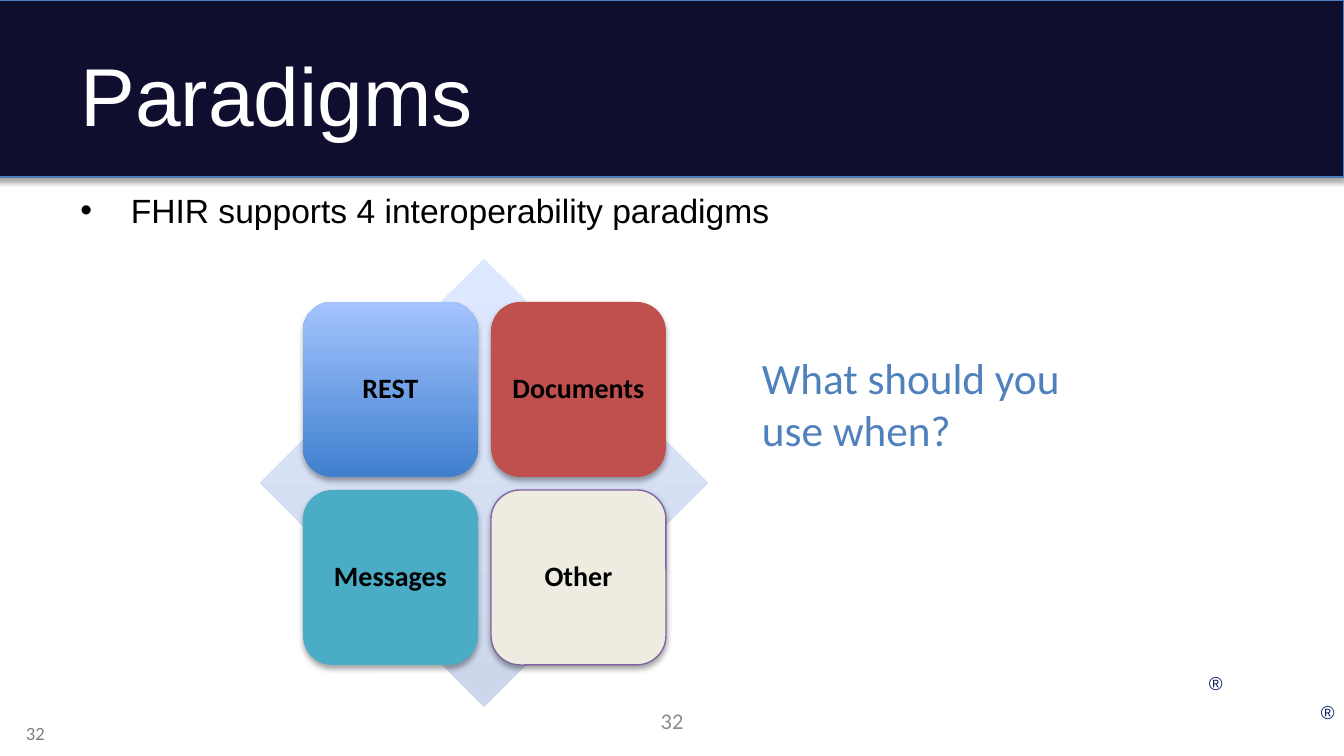
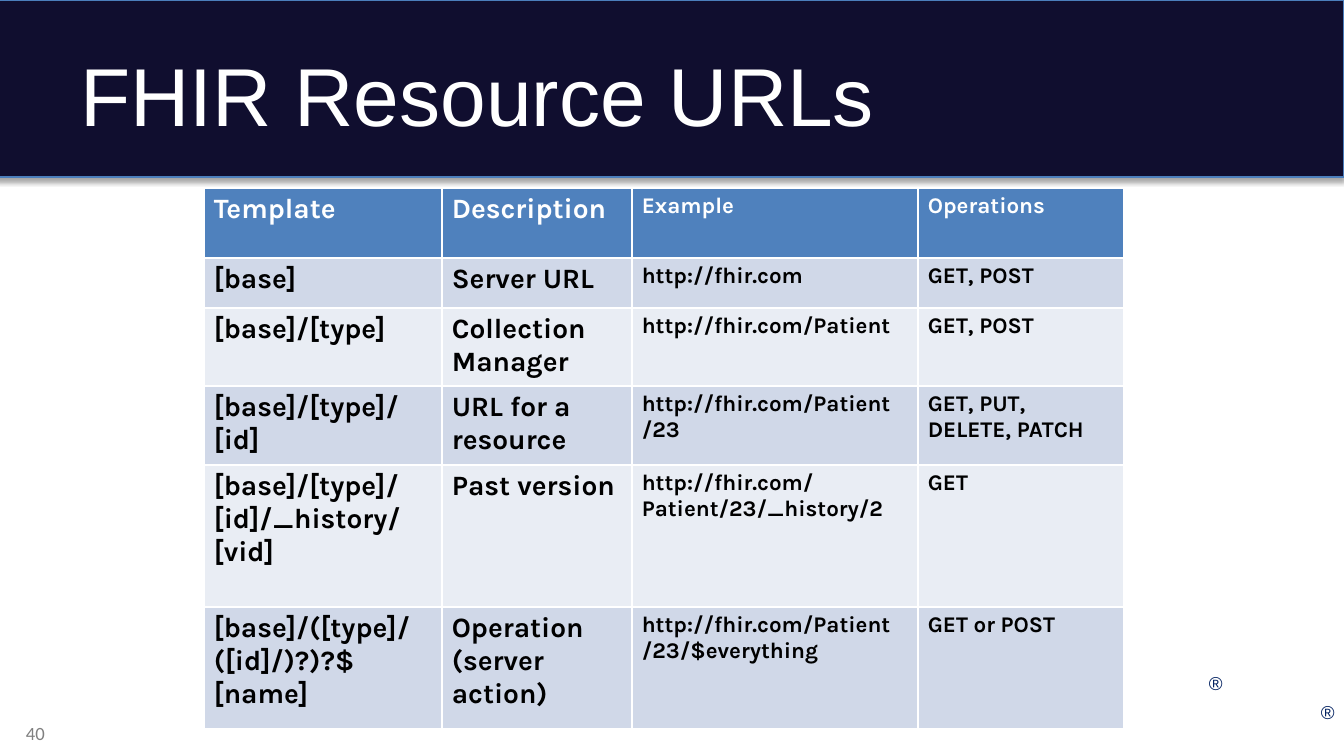
from dataclasses import dataclass

from lxml.etree import SubElement
from pptx import Presentation
from pptx.dml.color import RGBColor
from pptx.enum.shapes import MSO_SHAPE as Preset
from pptx.enum.text import MSO_ANCHOR as Anchor, PP_ALIGN as Align
from pptx.oxml.ns import qn
from pptx.util import Emu, Pt

EMU_PER_PX = 914400 / 134.4


@dataclass(frozen=True)
class Theme:
    band: str = "100E2F"
    band_line: str = "4B7EBC"
    white: str = "FFFFFF"
    black: str = "000000"
    mark: str = "002060"
    number: str = "808080"
    center_number: str = "8C8C8C"
    accent: str = "4F81BD"
    diamond: tuple = ("CDD7EB", "DEE9FF")
    rest: tuple = ("3F7FCE", "A4C4FF")
    documents: str = "C0504D"
    messages: str = "4BACC6"
    other: str = "EEECE1"
    other_line: str = "8064A2"
    row_bands: tuple = ("E9EDF4", "D0D8E8")
    heading_font: str = "Arial"
    text_font: str = "Calibri"
    table_font: str = "Karla"
    title_size: float = 44
    question_size: float = 23.2
    body_size: float = 18
    label_size: float = 15
    detail_size: float = 12
    small_size: float = 10


THEME = Theme()

PARADIGMS = [
    ("REST", THEME.rest, None),
    ("Documents", THEME.documents, None),
    ("Messages", THEME.messages, None),
    ("Other", THEME.other, THEME.other_line),
]

URL_COLUMNS = [238, 190, 286, 206]
URL_HEIGHTS = [70, 50, 78, 79, 142, 122]
URL_ROWS = [
    ("Template", "Description", "Example", "Operations"),
    ("[base]", "Server URL", "http://fhir.com", "GET, POST"),
    ("[base]/[type]", "Collection Manager", "http://fhir.com/Patient", "GET, POST"),
    ("[base]/[type]/[id]", "URL for a resource", "http://fhir.com/Patient\n/23",
     "GET, PUT, DELETE, PATCH"),
    ("[base]/[type]/[id]/_history/[vid]", "Past version",
     "http://fhir.com/Patient/23/_history/2", "GET"),
    ("[base]/([type]/([id]/)?)?$[name]", "Operation (server action)",
     "http://fhir.com/Patient\v/23/$everything", "GET or POST"),
]


def px(length):
    return Emu(round(length * EMU_PER_PX))


def assign(target, values):
    for name, value in values.items():
        setattr(target, name, value)


def place(shape, box):
    assign(shape, dict(zip(("left", "top", "width", "height"), map(px, box))))


def write(frame, text, font, size, color, bold=False, frame_format=None, para_format=None):
    frame.text = text
    assign(frame, {"word_wrap": True, **(frame_format or {})})
    for para in frame.paragraphs:
        assign(para, {"space_before": Pt(0), **(para_format or {})})
        for span in para.runs:
            assign(span.font, {"name": font, "size": Pt(size), "bold": bold})
            span.font.color.rgb = RGBColor.from_string(color)


def insets(left, top, right, bottom):
    sides = ("left", "top", "right", "bottom")
    return {f"margin_{side}": px(gap) for side, gap in zip(sides, (left, top, right, bottom))}


def paint(fill, color):
    if isinstance(color, tuple):
        fill.gradient()
        fill.gradient_angle = 90
        for stop, tone in zip(fill.gradient_stops, color):
            stop.color.rgb = RGBColor.from_string(tone)
    else:
        fill.solid()
        fill.fore_color.rgb = RGBColor.from_string(color)


def add_figure(page, preset, box, color, line=None, shadow=True):
    shape = page.shapes.add_shape(preset, *map(px, box))
    paint(shape.fill, color)
    if line:
        shape.line.color.rgb = RGBColor.from_string(line)
        shape.line.width = Pt(0.75)
    else:
        shape.line.fill.background()
    shape.shadow.inherit = False
    if shadow:
        effects = shape._element.spPr.find(qn("a:effectLst"))
        outer = SubElement(effects, qn("a:outerShdw"), blurRad=str(Pt(3.1)),
                           dist=str(Pt(1.8)), dir="5400000", rotWithShape="0")
        tone = SubElement(outer, qn("a:srgbClr"), val=THEME.black)
        SubElement(tone, qn("a:alpha"), val="35000")
    return shape


def add_text(page, box, *args, **kwargs):
    label = page.shapes.add_textbox(*map(px, box))
    write(label.text_frame, *args, **kwargs)


def start_page(deck, layout, title, number):
    page = deck.slides.add_slide(deck.slide_layouts[layout])
    band = add_figure(page, Preset.RECTANGLE, (-5, 0, 1349, 177), THEME.band, THEME.band_line)
    page.shapes._spTree.insert(2, band._element)
    place(page.shapes.title, (67, 31, 1210, 126))
    write(page.shapes.title.text_frame, title, THEME.heading_font, THEME.title_size, THEME.white,
          frame_format={"vertical_anchor": Anchor.MIDDLE}, para_format={"alignment": Align.LEFT})
    for left, top in ((1198, 665), (1310, 694)):
        add_text(page, (left, top, 24, 19), "®", THEME.heading_font, THEME.small_size, THEME.mark,
                 frame_format={**insets(11, 7, 0, 0), "word_wrap": False})
    add_text(page, (0, 715, 58, 40), number, THEME.text_font, THEME.small_size, THEME.number,
             para_format={"alignment": Align.RIGHT})
    return page


def add_paradigm_matrix(page, box):
    left, top, side, _ = box
    tile, pitch = 175, 188
    margin = (side - tile - pitch) // 2 + 1
    add_figure(page, Preset.DIAMOND, box, THEME.diamond, shadow=False)
    for index, (name, color, line) in enumerate(PARADIGMS):
        row, column = divmod(index, 2)
        corner = (left + margin + column * pitch, top + margin + row * pitch)
        shape = add_figure(page, Preset.ROUNDED_RECTANGLE, (*corner, tile, tile), color, line)
        write(shape.text_frame, name, THEME.text_font, THEME.label_size, THEME.black, bold=True,
              frame_format={**insets(8, 8, 8, 8), "vertical_anchor": Anchor.MIDDLE},
              para_format={"alignment": Align.CENTER, "line_spacing": 0.9})


def build_paradigms(deck):
    page = start_page(deck, 1, "Paradigms", "32")
    body = page.placeholders[1]
    place(body, (67, 183, 1210, 499))
    write(body.text_frame, "FHIR supports 4 interoperability paradigms",
          THEME.heading_font, THEME.body_size, THEME.black)
    add_text(page, (459, 701, 426, 40), "32", THEME.text_font, THEME.detail_size,
             THEME.center_number, frame_format={"vertical_anchor": Anchor.MIDDLE},
             para_format={"alignment": Align.CENTER})
    add_paradigm_matrix(page, (260, 259, 448, 448))
    add_text(page, (752, 346, 325, 142), "What should you use when?", THEME.text_font,
             THEME.question_size, THEME.accent, frame_format=insets(10, 5, 10, 5))


def set_borders(cell):
    properties = cell._tc.get_or_add_tcPr()
    for index, tag in enumerate(("a:lnL", "a:lnR", "a:lnT", "a:lnB")):
        border = SubElement(properties, qn(tag), w=str(Pt(1)))
        fill = SubElement(border, qn("a:solidFill"))
        SubElement(fill, qn("a:srgbClr"), val=THEME.white)
        properties.insert(index, border)


def add_url_table(page, box):
    table = page.shapes.add_table(len(URL_ROWS), len(URL_COLUMNS), *map(px, box)).table
    for column, width in zip(table.columns, URL_COLUMNS):
        column.width = px(width)
    for row, height in zip(table.rows, URL_HEIGHTS):
        row.height = px(height)
    for row_index, texts in enumerate(URL_ROWS):
        header = row_index == 0
        for column_index, text in enumerate(texts):
            cell = table.cell(row_index, column_index)
            assign(cell, insets(10, 5, 10, 5))
            size = THEME.label_size if column_index < 2 else THEME.detail_size
            write(cell.text_frame, text, THEME.table_font, size,
                  THEME.white if header else THEME.black, bold=True)
            paint(cell.fill, THEME.accent if header else THEME.row_bands[row_index % 2])
            set_borders(cell)


def build_resource_urls(deck):
    page = start_page(deck, 5, "FHIR Resource URLs", "40")
    add_url_table(page, (204, 188, sum(URL_COLUMNS), sum(URL_HEIGHTS)))


def main():
    deck = Presentation()
    assign(deck, {"slide_width": px(1344), "slide_height": px(756)})
    build_paradigms(deck)
    build_resource_urls(deck)
    deck.save("out.pptx")


if __name__ == "__main__":
    main()
